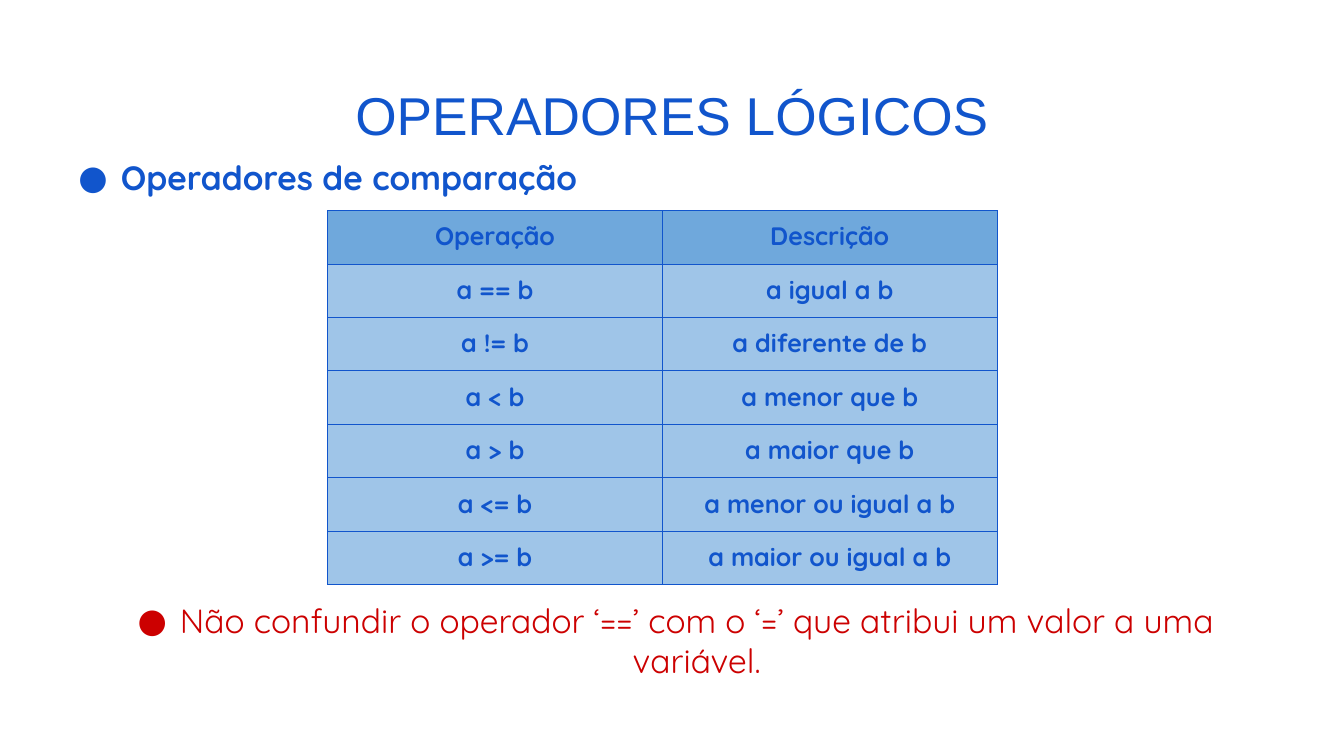
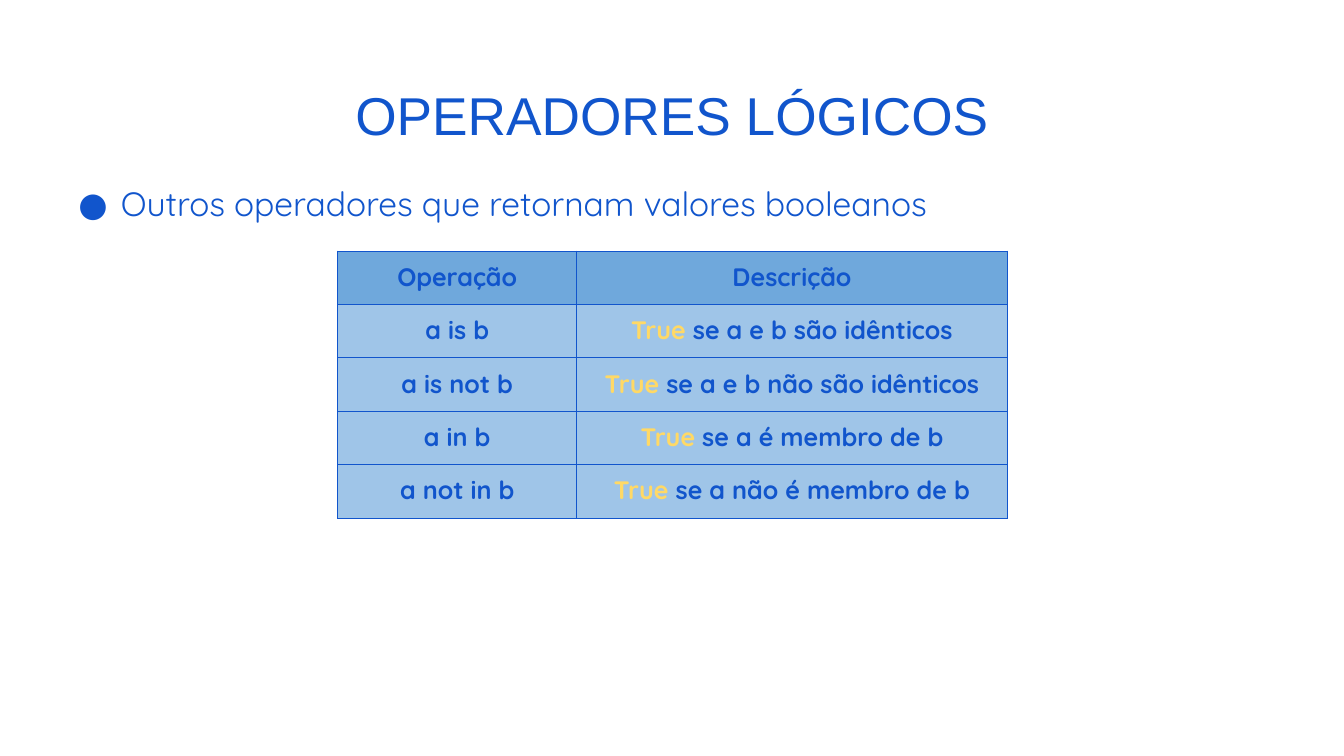
from dataclasses import dataclass

from lxml import etree
from pptx import Presentation
from pptx.dml.color import RGBColor
from pptx.enum.text import MSO_ANCHOR, PP_ALIGN
from pptx.oxml.ns import qn
from pptx.slide import Slide
from pptx.table import _Cell
from pptx.util import Inches, Pt

BLUE = RGBColor(0x11, 0x55, 0xCC)
RED = RGBColor(0xCC, 0x00, 0x00)
YELLOW = RGBColor(0xFF, 0xD9, 0x66)
HEADER_FILL = RGBColor(0x6F, 0xA8, 0xDC)
BODY_FILL = RGBColor(0x9F, 0xC5, 0xE8)

LEFT = PP_ALIGN.LEFT
CENTER = PP_ALIGN.CENTER
BOTTOM = MSO_ANCHOR.BOTTOM

TITLE_FONT = "Arial"
BODY_FONT = "Quicksand"
TITLE_ONLY = 5
SLIDE_WIDTH = 13.33
ROW_HEIGHT = 0.53
CELL_MARGIN = 0.1
TRUE_WORD = "True "
HEADINGS = ("Operação", "Descrição")


@dataclass(frozen=True)
class Topic:
    text: str
    top: float
    height: float = 0.55
    color: RGBColor = BLUE
    bold: bool = False
    align: PP_ALIGN = LEFT


@dataclass(frozen=True)
class OperatorTable:
    left: float
    top: float
    widths: tuple[float, ...]
    rows: tuple[tuple[str, str], ...]


@dataclass(frozen=True)
class Lesson:
    topics: tuple[Topic, ...]
    operators: OperatorTable


LESSONS = (
    Lesson(
        (
            Topic("Operadores de comparação", 1.51, bold=True),
            Topic(
                "Não confundir o operador ‘==’ com o ‘=’ que atribui um valor a uma variável.",
                5.9, height=0.95, color=RED, align=CENTER,
            ),
        ),
        OperatorTable(3.25, 2.09, (3.32, 3.32), (
            ("a == b", "a igual a b"),
            ("a != b", "a diferente de b"),
            ("a < b", "a menor que b"),
            ("a > b", "a maior que b"),
            ("a <= b", "a menor ou igual a b"),
            ("a >= b", "a maior ou igual a b"),
        )),
    ),
    Lesson(
        (Topic("Outros operadores que retornam valores booleanos", 1.77),),
        OperatorTable(3.35, 2.49, (2.37, 4.27), (
            ("a is b", "True se a e b são idênticos"),
            ("a is not b", "True se a e b não são idênticos"),
            ("a in b", "True se a é membro de b"),
            ("a not in b", "True se a não é membro de b"),
        )),
    ),
)


def add_run(paragraph, text: str, size: float, color: RGBColor,
            bold: bool = False, font: str = BODY_FONT) -> None:
    run = paragraph.add_run()
    run.text = text
    run.font.name = font
    run.font.size = Pt(size)
    run.font.bold = bold
    run.font.color.rgb = color


def add_bullet(paragraph, color: RGBColor) -> None:
    properties = paragraph._p.get_or_add_pPr()
    properties.set("marL", str(Inches(0.5)))
    properties.set("indent", str(Inches(-0.42)))
    bullet_color = etree.SubElement(properties, qn("a:buClr"))
    etree.SubElement(bullet_color, qn("a:srgbClr"), val=str(color))
    etree.SubElement(properties, qn("a:buFont"), typeface=BODY_FONT)
    etree.SubElement(properties, qn("a:buChar"), char="●")


def add_borders(cell: _Cell) -> None:
    properties = cell._tc.get_or_add_tcPr()
    for side in ("a:lnL", "a:lnR", "a:lnT", "a:lnB"):
        line = etree.SubElement(properties, qn(side), w=str(Pt(0.75)))
        line_fill = etree.SubElement(line, qn("a:solidFill"))
        etree.SubElement(line_fill, qn("a:srgbClr"), val=str(BLUE))


def draw_title(slide: Slide) -> None:
    title = slide.shapes.title
    title.left, title.top = Inches(0), Inches(0.71)
    title.width, title.height = Inches(SLIDE_WIDTH), Inches(0.8)
    title.text_frame.vertical_anchor = BOTTOM
    paragraph = title.text_frame.paragraphs[0]
    paragraph.alignment = CENTER
    paragraph.line_spacing = 0.9
    add_run(paragraph, "OPERADORES LÓGICOS", 38, BLUE, font=TITLE_FONT)


def draw_topic(slide: Slide, topic: Topic) -> None:
    box = slide.shapes.add_textbox(
        Inches(0.6), Inches(topic.top), Inches(12.12), Inches(topic.height))
    box.text_frame.word_wrap = True
    paragraph = box.text_frame.paragraphs[0]
    paragraph.alignment = topic.align
    add_bullet(paragraph, topic.color)
    add_run(paragraph, topic.text, 24, topic.color, topic.bold)


def fill_cell(cell: _Cell, text: str, fill: RGBColor) -> None:
    cell.margin_left = cell.margin_right = Inches(CELL_MARGIN)
    cell.margin_top = cell.margin_bottom = Inches(CELL_MARGIN)
    add_borders(cell)
    cell.fill.solid()
    cell.fill.fore_color.rgb = fill
    paragraph = cell.text_frame.paragraphs[0]
    paragraph.alignment = CENTER
    if text.startswith(TRUE_WORD):
        add_run(paragraph, TRUE_WORD, 18, YELLOW, bold=True)
    add_run(paragraph, text.removeprefix(TRUE_WORD), 18, BLUE, bold=True)


def draw_operators(slide: Slide, operators: OperatorTable) -> None:
    rows = (HEADINGS, *operators.rows)
    table = slide.shapes.add_table(
        len(rows), len(HEADINGS), Inches(operators.left), Inches(operators.top),
        Inches(sum(operators.widths)), Inches(ROW_HEIGHT * len(rows))).table
    table.horz_banding = False
    for column, width in zip(table.columns, operators.widths):
        column.width = Inches(width)
    for row_index, texts in enumerate(rows):
        table.rows[row_index].height = Inches(ROW_HEIGHT)
        fill = BODY_FILL if row_index else HEADER_FILL
        for column_index, text in enumerate(texts):
            fill_cell(table.cell(row_index, column_index), text, fill)


def main() -> None:
    presentation = Presentation()
    presentation.slide_width = Inches(SLIDE_WIDTH)
    presentation.slide_height = Inches(7.5)
    for lesson in LESSONS:
        slide = presentation.slides.add_slide(presentation.slide_layouts[TITLE_ONLY])
        draw_title(slide)
        for topic in lesson.topics:
            draw_topic(slide, topic)
        draw_operators(slide, lesson.operators)
    presentation.save("out.pptx")


if __name__ == "__main__":
    main()
